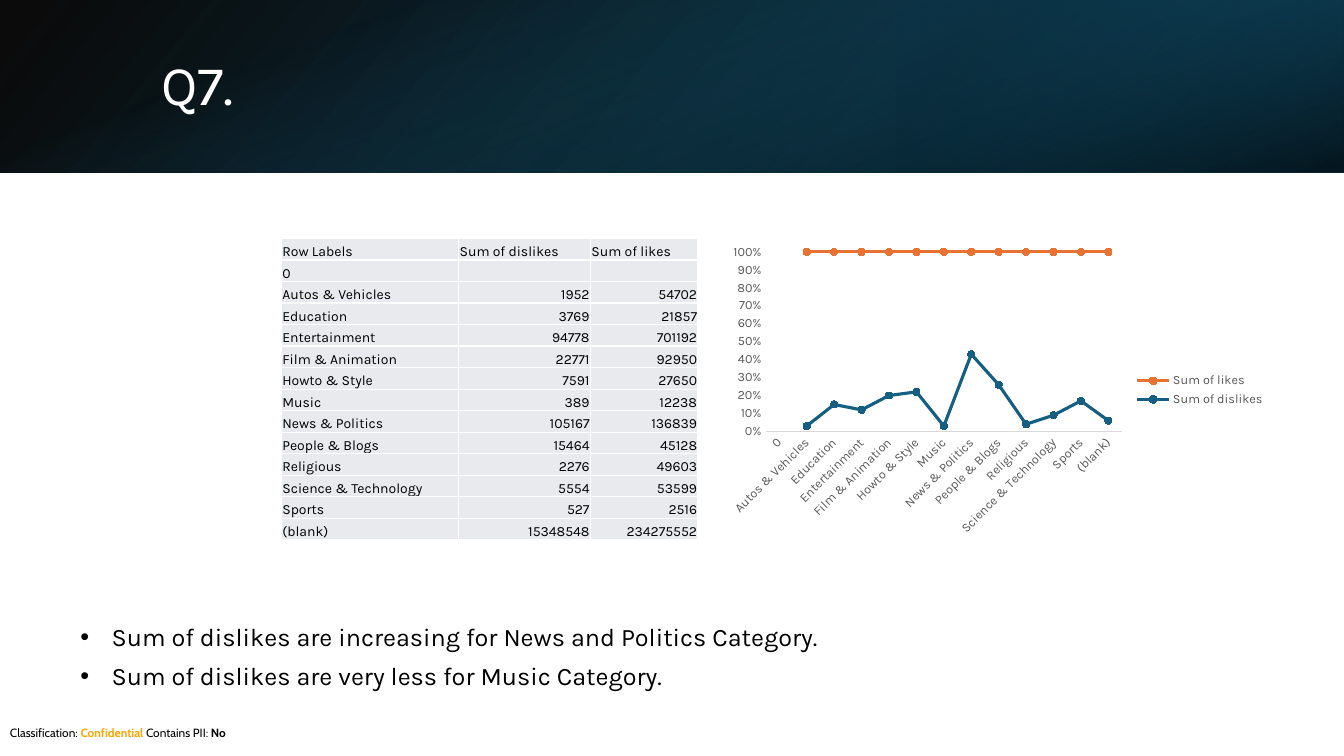
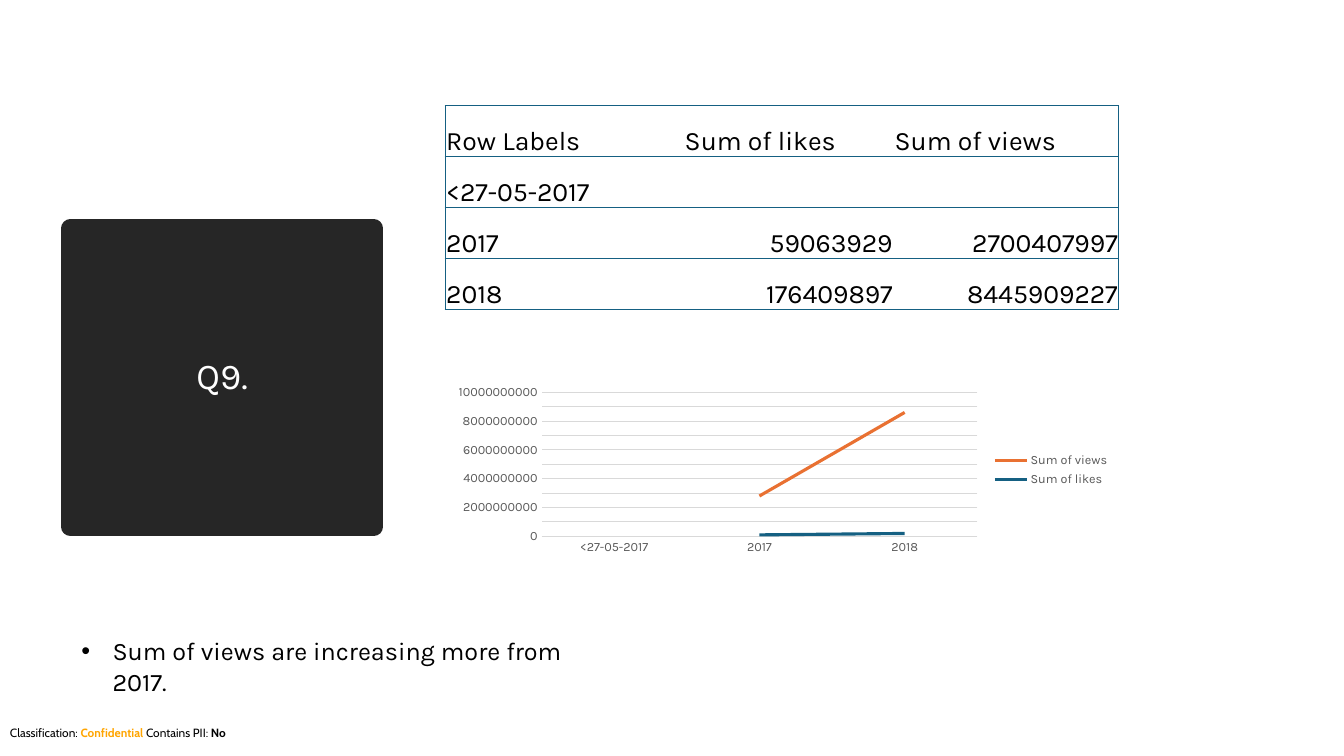
from lxml.etree import SubElement
from pptx import Presentation
from pptx.chart.data import CategoryChartData
from pptx.dml.color import RGBColor
from pptx.enum.chart import XL_CHART_TYPE, XL_LEGEND_POSITION, XL_MARKER_STYLE, XL_TICK_MARK
from pptx.enum.shapes import MSO_SHAPE
from pptx.enum.text import MSO_ANCHOR, MSO_AUTO_SIZE, PP_ALIGN
from pptx.oxml.ns import qn
from pptx.util import Inches, Pt

BLACK = RGBColor(0x00, 0x00, 0x00)
WHITE = RGBColor(0xFF, 0xFF, 0xFF)
CHARCOAL = RGBColor(0x26, 0x26, 0x26)
TEAL = RGBColor(0x15, 0x60, 0x82)
DEEP_TEAL = RGBColor(0x10, 0x48, 0x62)
NIGHT_BLUE = RGBColor(0x0B, 0x30, 0x41)
CORAL = RGBColor(0xE9, 0x71, 0x32)
ORANGE = RGBColor(0xFF, 0xA5, 0x00)
CELL_GRAY = RGBColor(0xE8, 0xEA, 0xED)
RULE_GRAY = RGBColor(0xD9, 0xD9, 0xD9)
LABEL_GRAY = RGBColor(0x59, 0x59, 0x59)
FONT = "Karla"
FOOTER_FONT = "Cabin"

# The slide is a grid of 1600 columns and 900 rows of square units.
COLUMNS, ROWS = 1600, 900
UNIT = Inches(40 / 3) // COLUMNS
BAND_ROWS = 206


def add_grid(slide, rows, left, top, column_units, height, size, border, fill=None):
    """Add a table; without a fill it has an outline and row rules only."""
    last_column = len(column_units) - 1
    frame = slide.shapes.add_table(len(rows), len(column_units), left * UNIT, top * UNIT,
                                   sum(column_units) * UNIT, height * UNIT)
    table = frame.table
    table.first_row = table.horz_banding = False
    for column, units in zip(table.columns, column_units):
        column.width = units * UNIT
    for row_index, row in enumerate(rows):
        table.rows[row_index].height = height * UNIT // len(rows)
        for column_index, text in enumerate(row):
            cell = table.cell(row_index, column_index)
            cell.vertical_anchor = MSO_ANCHOR.BOTTOM
            cell.margin_left = cell.margin_right = cell.margin_top = Inches(0.01)
            cell.margin_bottom = 0
            properties = cell._tc.get_or_add_tcPr()
            drawn = {"L": fill or column_index == 0,
                     "R": fill or column_index == last_column,
                     "T": True, "B": True}
            for side, visible in drawn.items():
                line = SubElement(properties, qn(f"a:ln{side}"), w=str(Pt(1)))
                if visible:
                    solid = SubElement(line, qn("a:solidFill"))
                    SubElement(solid, qn("a:srgbClr"), val=str(border))
                else:
                    SubElement(line, qn("a:noFill"))
            if fill:
                cell.fill.solid()
                cell.fill.fore_color.rgb = fill
            else:
                cell.fill.background()
            paragraph = cell.text_frame.paragraphs[0]
            paragraph.text = text
            if row_index and column_index:
                paragraph.alignment = PP_ALIGN.RIGHT
            for run in paragraph.runs:
                run.font.name, run.font.size = FONT, Pt(size)
                run.font.color.rgb = BLACK
            if not text:
                SubElement(paragraph._p, qn("a:endParaRPr"), sz=str(size * 100))


def add_line_chart(slide, chart_type, place, categories, series_values, number_format):
    data = CategoryChartData()
    data.categories = categories
    for name, values in series_values.items():
        data.add_series(name, values)
    frame = slide.shapes.add_chart(chart_type, *[units * UNIT for units in place], data)
    chart = frame.chart
    chart.has_title = False
    chart.font.name, chart.font.size = FONT, Pt(10)
    chart.font.color.rgb = BLACK
    chart.has_legend = True
    chart.legend.position = XL_LEGEND_POSITION.RIGHT
    chart.legend.include_in_layout = False
    category_axis, value_axis = chart.category_axis, chart.value_axis
    for font in (chart.legend.font, category_axis.tick_labels.font, value_axis.tick_labels.font):
        font.name, font.size = FONT, Pt(9)
        font.color.rgb = LABEL_GRAY
    for axis in (category_axis, value_axis):
        axis.major_tick_mark = axis.minor_tick_mark = XL_TICK_MARK.NONE
    category_axis.format.line.color.rgb = RULE_GRAY
    category_axis.format.line.width = Pt(0.75)
    value_axis.format.line.fill.background()
    value_axis.has_major_gridlines = False
    value_axis.tick_labels.number_format = number_format
    value_axis.tick_labels.number_format_is_linked = False
    for series, color in zip(chart.plots[0].series, (TEAL, CORAL)):
        series.smooth = False
        series.format.line.color.rgb = color
        series.format.line.width = Pt(2.25)
        if chart_type == XL_CHART_TYPE.LINE_MARKERS_STACKED_100:
            series.marker.style, series.marker.size = XL_MARKER_STYLE.CIRCLE, 5
            series.marker.format.fill.solid()
            series.marker.format.fill.fore_color.rgb = color
            series.marker.format.line.color.rgb = color
    return chart


presentation = Presentation()
presentation.slide_width, presentation.slide_height = COLUMNS * UNIT, ROWS * UNIT
layout = presentation.slide_layouts.get_by_name("Title Only")
category_slide = presentation.slides.add_slide(layout)
year_slide = presentation.slides.add_slide(layout)

# Classification footer, held by the layout
footer = category_slide.shapes.add_textbox(0, 858 * UNIT, COLUMNS * UNIT, 29 * UNIT)
footer.text_frame.word_wrap = True
for text, color, bold in (("Classification: ", BLACK, False), ("Confidential", ORANGE, True),
                          (" Contains PII: ", BLACK, False), ("No", BLACK, True)):
    run = footer.text_frame.paragraphs[0].add_run()
    run.text = text
    run.font.name, run.font.size, run.font.bold = FOOTER_FONT, Pt(8.5), bold
    run.font.color.rgb = color
footer.element.xpath("p:nvSpPr/p:cNvPr")[0].set("id", "20")
layout.shapes.element.append(footer.element)

# Header band: three layered gradients with (position, colour, opacity) stops
third = COLUMNS // 3
turned_offset = (COLUMNS - BAND_ROWS) // 2
for place, rotation, flipped, angle, stops in (
    ((0, 0, COLUMNS, BAND_ROWS), 0, True, 140,
     ((0, BLACK, 96), (1, DEEP_TEAL, 100))),
    ((COLUMNS - third, 0, third, BAND_ROWS), 180, True, 320,
     ((0.19, NIGHT_BLUE, 68), (1, TEAL, 79))),
    ((turned_offset, -turned_offset, BAND_ROWS, COLUMNS), 90, False, 340,
     ((0.23, TEAL, 0), (0.99, BLACK, 74))),
):
    band = category_slide.shapes.add_shape(MSO_SHAPE.RECTANGLE, *[units * UNIT for units in place])
    band.shadow.inherit = False
    band.line.fill.background()
    band.rotation = rotation
    if flipped:
        band.element.xpath("p:spPr/a:xfrm")[0].set("flipH", "1")
    band.fill.gradient()
    band.fill.gradient_angle = 360 - angle
    for stop, (position, color, opacity) in zip(band.fill.gradient_stops, stops):
        stop.position, stop.color.rgb = position, color
    color_elements = band.element.xpath("p:spPr/a:gradFill//a:srgbClr")
    for element, (position, color, opacity) in zip(color_elements, stops):
        SubElement(element, qn("a:alpha"), val=str(opacity * 1000))

# Titles
for slide, text, place, size, alignment in (
    (category_slide, "Q7.", (180, 46, 1318, 115), 40, PP_ALIGN.LEFT),
    (year_slide, "Q9.", (84, 272, 361, 355), 26, PP_ALIGN.CENTER),
):
    title = slide.shapes.title
    title.left, title.top, title.width, title.height = [units * UNIT for units in place]
    title.text_frame.text = text
    title.text_frame.auto_size = MSO_AUTO_SIZE.NONE
    title.text_frame.vertical_anchor = MSO_ANCHOR.MIDDLE
    paragraph = title.text_frame.paragraphs[0]
    paragraph.alignment, paragraph.line_spacing = alignment, 0.9
    font = paragraph.runs[0].font
    font.name, font.size, font.color.rgb = FONT, Pt(size), WHITE
    slide.shapes.element.append(title.element)

title_box = year_slide.shapes.title
title_box.fill.solid()
title_box.fill.fore_color.rgb = CHARCOAL
title_box.line.color.rgb = CHARCOAL
title_box.line.width = Pt(13.75)

# Likes and dislikes by category
category_rows = [
    ("Row Labels", "Sum of dislikes", "Sum of likes"),
    ("0", "", ""),
    ("Autos & Vehicles", "1952", "54702"),
    ("Education", "3769", "21857"),
    ("Entertainment", "94778", "701192"),
    ("Film & Animation", "22771", "92950"),
    ("Howto & Style", "7591", "27650"),
    ("Music", "389", "12238"),
    ("News & Politics", "105167", "136839"),
    ("People & Blogs", "15464", "45128"),
    ("Religious", "2276", "49603"),
    ("Science & Technology", "5554", "53599"),
    ("Sports", "527", "2516"),
    ("(blank)", "15348548", "234275552"),
]
add_grid(category_slide, category_rows, 335, 284, (211, 157, 128), 359, 10, WHITE, CELL_GRAY)
dislike_shares = [3, 15, 12, 20, 22, 3, 43, 26, 4, 9, 17, 6]
share_chart = add_line_chart(
    category_slide, XL_CHART_TYPE.LINE_MARKERS_STACKED_100, (858, 284, 660, 361),
    [row[0] for row in category_rows[1:]],
    {"Sum of dislikes": [None] + dislike_shares,
     "Sum of likes": [None] + [100 - share for share in dislike_shares]}, "0%")
share_chart.value_axis.major_unit = 0.1
share_chart.element.xpath("//c:catAx/c:txPr/a:bodyPr")[0].set("rot", "-2700000")

# Likes and views by year
year_rows = [
    ("Row Labels", "Sum of likes", "Sum of views"),
    ("<27-05-2017", "", ""),
    ("2017", "59063929", "2700407997"),
    ("2018", "176409897", "8445909227"),
]
add_grid(year_slide, year_rows, 530, 126, (284, 250, 268), 243, 19, TEAL)
year_chart = add_line_chart(
    year_slide, XL_CHART_TYPE.LINE_STACKED, (530, 454, 803, 211),
    [row[0] for row in year_rows[1:]],
    {"Sum of likes": [None, 100000000, 200000000],
     "Sum of views": [None, 2700000000, 8400000000]}, "General")
gridline = year_chart.value_axis.major_gridlines.format.line
gridline.color.rgb, gridline.width = RULE_GRAY, Pt(0.75)

# Findings
for slide, place, findings, space_after in (
    (category_slide, (84, 734, 1039, 95),
     ("Sum of dislikes are increasing for News and Politics Category.",
      "Sum of dislikes are very less for Music Category."), 6),
    (year_slide, (85, 751, 636, 85),
     ("Sum of views are increasing more from 2017.",), 0),
):
    text_frame = slide.shapes.add_textbox(*[units * UNIT for units in place]).text_frame
    text_frame.word_wrap = True
    text_frame.text = "\n".join(findings)
    for paragraph in text_frame.paragraphs:
        paragraph.space_after = Pt(space_after)
        font = paragraph.runs[0].font
        font.name, font.size, font.color.rgb = FONT, Pt(18), BLACK
        properties = paragraph._p.get_or_add_pPr()
        properties.set("marL", str(Inches(0.31)))
        properties.set("indent", str(-Inches(0.31)))
        SubElement(properties, qn("a:buFont"), typeface="Arial")
        SubElement(properties, qn("a:buChar"), char="•")

presentation.save("out.pptx")
